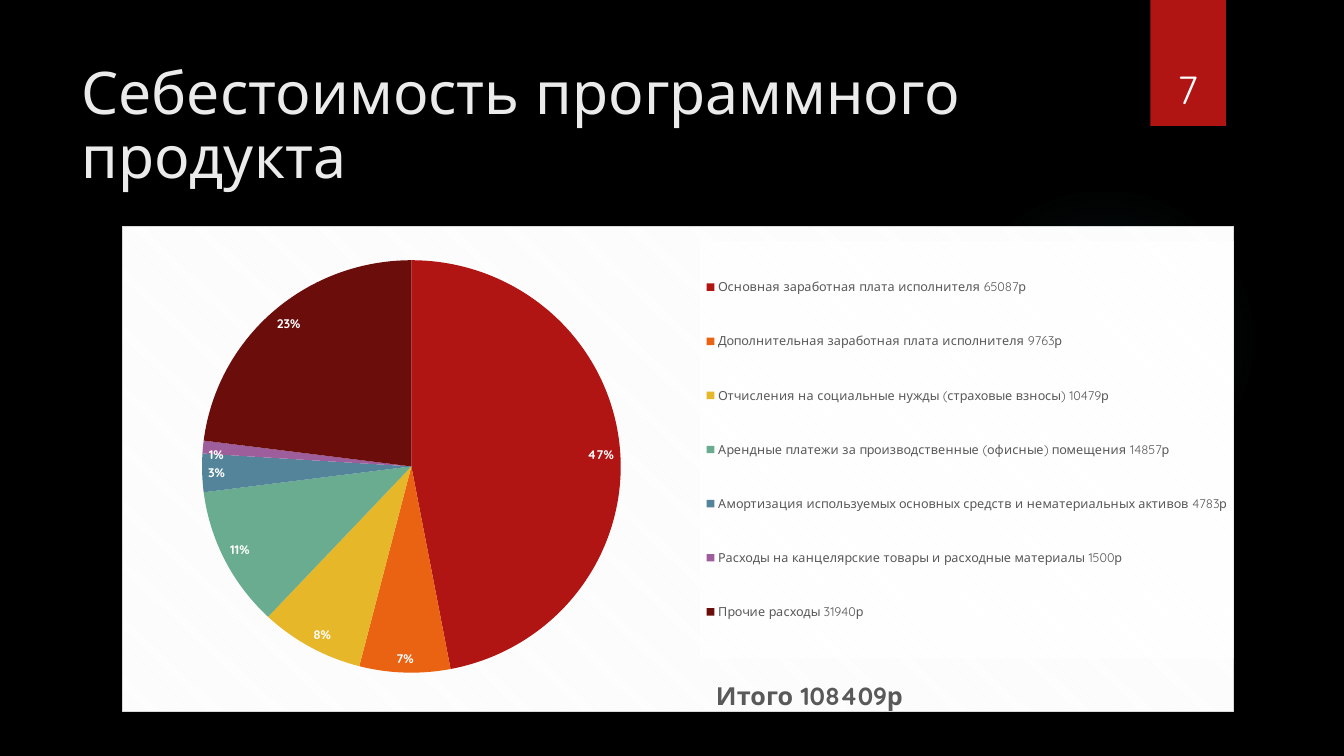
"""Build the slide on the cost price of the software product."""
from dataclasses import dataclass

from lxml import etree
from pptx import Presentation
from pptx.chart.data import CategoryChartData
from pptx.dml.color import RGBColor
from pptx.enum.chart import XL_CHART_TYPE, XL_LABEL_POSITION, XL_LEGEND_POSITION
from pptx.enum.shapes import MSO_SHAPE
from pptx.enum.text import MSO_ANCHOR, PP_ALIGN
from pptx.oxml import parse_xml
from pptx.oxml.ns import qn
from pptx.util import Inches, Pt

PIE = XL_CHART_TYPE.PIE
INSIDE_END = XL_LABEL_POSITION.INSIDE_END
LEGEND_BOTTOM = XL_LEGEND_POSITION.BOTTOM
OVAL, RECTANGLE = MSO_SHAPE.OVAL, MSO_SHAPE.RECTANGLE
MIDDLE, BOTTOM = MSO_ANCHOR.MIDDLE, MSO_ANCHOR.BOTTOM
LEFT, CENTER = PP_ALIGN.LEFT, PP_ALIGN.CENTER

FONT = "Quicksand"
COLORS = {
    "background": "000000", "glow": "50B9C1", "ribbon": "B01513",
    "heading": "EBEBEB", "white": "FFFFFF", "legend": "595959",
    "stripe": "F2F2F2", "border": "D9D9D9",
}
A_NS = 'xmlns:a="http://schemas.openxmlformats.org/drawingml/2006/main"'
C_NS = 'xmlns:c="http://schemas.openxmlformats.org/drawingml/2006/chart"'


@dataclass(frozen=True)
class Cost:
    label: str
    percent: int
    color: str


@dataclass(frozen=True)
class Caption:
    text: str
    box: tuple[float, float, float, float]
    size: int
    color: str
    anchor: MSO_ANCHOR
    align: PP_ALIGN
    spacing: float


COSTS = [
    Cost("Основная заработная плата исполнителя 65087р", 47, "B01513"),
    Cost("Дополнительная заработная плата исполнителя 9763р", 7, "EA6312"),
    Cost("Отчисления на социальные нужды (страховые взносы) 10479р", 8, "E6B729"),
    Cost("Арендные платежи за производственные (офисные) помещения 14857р", 11, "6AAC90"),
    Cost("Амортизация используемых основных средств и нематериальных активов 4783р", 3, "54849A"),
    Cost("Расходы на канцелярские товары и расходные материалы 1500р", 1, "9E5E9B"),
    Cost("Прочие расходы 31940р", 23, "6A0D0B"),
]
CAPTIONS = [
    Caption("Себестоимость программного продукта", (0.71, 0.5, 10.29, 1.53),
            42, "heading", MIDDLE, LEFT, 0.9),
    Caption("7", (11.32, 0.32, 0.92, 0.84), 28, "white", BOTTOM, CENTER, 1.0),
]


def rgb(name: str) -> RGBColor:
    return RGBColor.from_string(COLORS[name])


def style_font(font, size: float, color: str, bold: bool = False) -> None:
    font.name, font.size, font.bold = FONT, Pt(size), bold
    font.color.rgb = rgb(color)


def add_plain_shape(slide, preset, box: tuple[float, float, float, float]):
    shape = slide.shapes.add_shape(preset, *map(Inches, box))
    shape.shadow.inherit = False
    shape.line.fill.background()
    return shape


def add_glow(slide) -> None:
    glow = add_plain_shape(slide, OVAL, (9.41, 1.83, 3.08, 3.08))
    stops = "".join(
        f'<a:gs pos="{position * 1000}"><a:srgbClr val="{COLORS["glow"]}">'
        f'<a:alpha val="{alpha * 1000}"/></a:srgbClr></a:gs>'
        for position, alpha in ((0, 7), (36, 6), (69, 0)))
    gradient = parse_xml(
        f'<a:gradFill {A_NS}><a:gsLst>{stops}</a:gsLst><a:path path="circle">'
        '<a:fillToRect l="50000" t="50000" r="50000" b="50000"/></a:path></a:gradFill>')
    glow.element.spPr.find(qn("a:prstGeom")).addnext(gradient)


def add_ribbon(slide) -> None:
    ribbon = add_plain_shape(slide, RECTANGLE, (11.41, 0, 0.75, 1.25))
    ribbon.fill.solid()
    ribbon.fill.fore_color.rgb = rgb("ribbon")
    ribbon.element.spPr.find(qn("a:effectLst")).append(parse_xml(
        f'<a:outerShdw {A_NS} blurRad="{Pt(3)}" dist="{Pt(2)}" dir="5400000" rotWithShape="0">'
        '<a:srgbClr val="000000"><a:alpha val="45000"/></a:srgbClr></a:outerShdw>'))


def add_caption(slide, caption: Caption) -> None:
    frame = slide.shapes.add_textbox(*map(Inches, caption.box)).text_frame
    frame.word_wrap = True
    frame.vertical_anchor = caption.anchor
    paragraph = frame.paragraphs[0]
    paragraph.alignment = caption.align
    paragraph.line_spacing = caption.spacing
    run = paragraph.add_run()
    run.text = caption.text
    style_font(run.font, caption.size, caption.color)


def set_layout(parent: etree._Element, index: int, inner: bool = False,
               **fractions: float) -> None:
    """Place a chart part by fractions of the chart area."""
    for previous in parent.findall(qn("c:layout")):
        parent.remove(previous)
    target = '<c:layoutTarget val="inner"/>' if inner else ""
    modes = "".join(f'<c:{key}Mode val="edge"/>' for key in fractions if key in "xy")
    values = "".join(f'<c:{key} val="{value}"/>' for key, value in fractions.items())
    parent.insert(index, parse_xml(
        f"<c:layout {C_NS}><c:manualLayout>{target}{modes}{values}"
        "</c:manualLayout></c:layout>"))


def style_chart_area(space: etree._Element) -> None:
    space.find(qn("c:chart")).addnext(parse_xml(
        f'<c:spPr {C_NS} {A_NS}><a:pattFill prst="dkDnDiag">'
        f'<a:fgClr><a:srgbClr val="{COLORS["stripe"]}"/></a:fgClr>'
        f'<a:bgClr><a:srgbClr val="{COLORS["white"]}"/></a:bgClr></a:pattFill>'
        f'<a:ln w="{Pt(0.75)}"><a:solidFill><a:srgbClr val="{COLORS["border"]}"/>'
        '</a:solidFill></a:ln></c:spPr>'))


def style_legend(chart) -> None:
    chart.has_legend = True
    legend = chart.legend
    legend.position = LEGEND_BOTTOM
    legend.include_in_layout = False
    style_font(legend.font, 9, "legend")
    element = chart.element.find(".//" + qn("c:legend"))
    set_layout(element, 1, x=0.52, y=0.03, w=0.48, h=0.86)
    element.find(qn("c:txPr")).addprevious(parse_xml(
        f'<c:spPr {C_NS} {A_NS}><a:solidFill><a:srgbClr val="{COLORS["white"]}">'
        '<a:alpha val="78000"/></a:srgbClr></a:solidFill></c:spPr>'))


def add_cost_chart(slide) -> None:
    cost_data = CategoryChartData()
    cost_data.categories = [cost.label for cost in COSTS]
    cost_data.add_series("Series 1", [cost.percent for cost in COSTS])
    chart = slide.shapes.add_chart(
        PIE, *map(Inches, (1.21, 2.24, 11.03, 4.89)), cost_data).chart
    style_font(chart.font, 10, "white")
    style_chart_area(chart.element)

    chart.has_title = True
    total = chart.chart_title.text_frame.paragraphs[0].add_run()
    total.text = "Итого 108409р"
    style_font(total.font, 18, "legend", bold=True)
    set_layout(chart.element.find(".//" + qn("c:title")), 1, x=0.53, y=0.92)
    set_layout(chart.element.find(".//" + qn("c:plotArea")), 0, inner=True,
               x=0.04, y=0.07, w=0.44, h=0.85)
    style_legend(chart)

    pie = chart.plots[0]
    pie.vary_by_categories = True
    shares = pie.series[0]
    for index, cost in enumerate(COSTS):
        fill = shares.points[index].format.fill
        fill.solid()
        fill.fore_color.rgb = RGBColor.from_string(cost.color)
    labels = shares.data_labels
    labels.show_percentage, labels.show_value = True, False
    labels.position = INSIDE_END
    style_font(labels.font, 9, "white", bold=True)


def main() -> None:
    deck = Presentation()
    deck.slide_width, deck.slide_height = Inches(13.33), Inches(7.5)
    slide = deck.slides.add_slide(deck.slide_layouts[6])
    slide.background.fill.solid()
    slide.background.fill.fore_color.rgb = rgb("background")
    add_glow(slide)
    add_ribbon(slide)
    for caption in CAPTIONS:
        add_caption(slide, caption)
    add_cost_chart(slide)
    deck.save("out.pptx")


if __name__ == "__main__":
    main()
